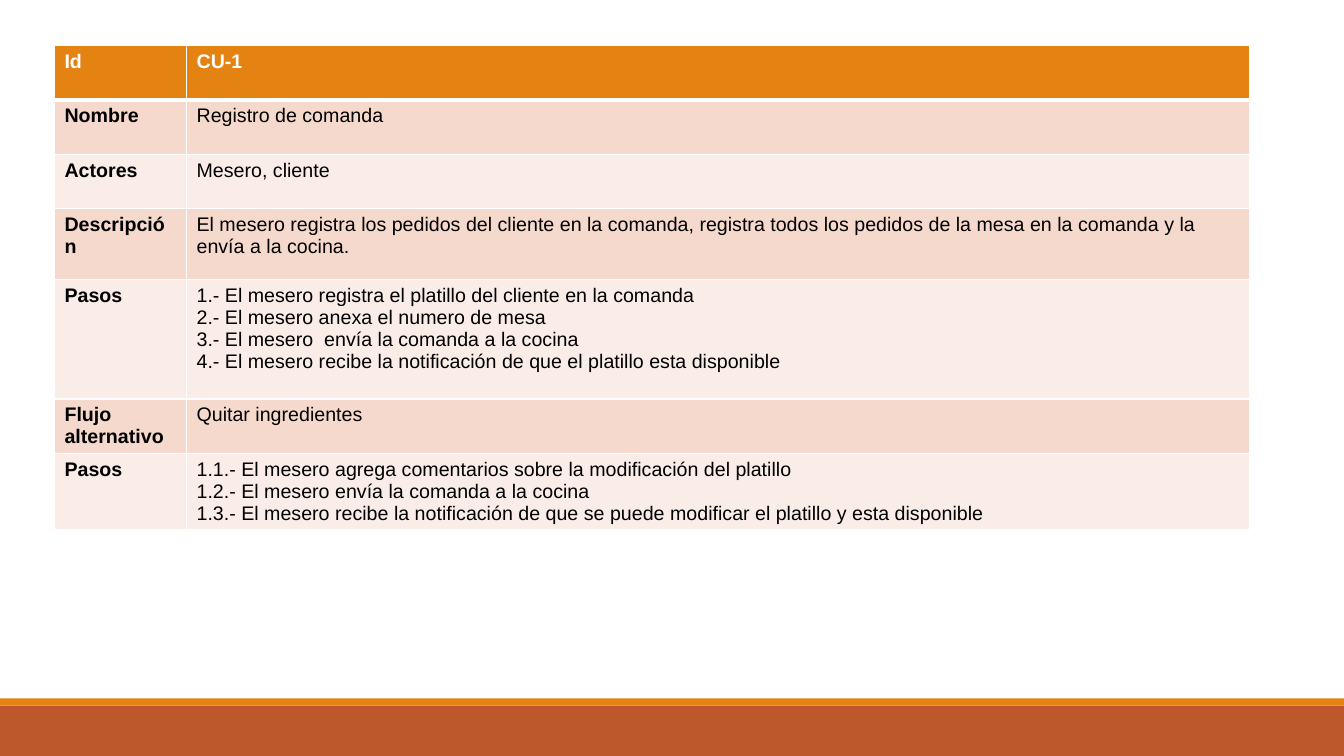
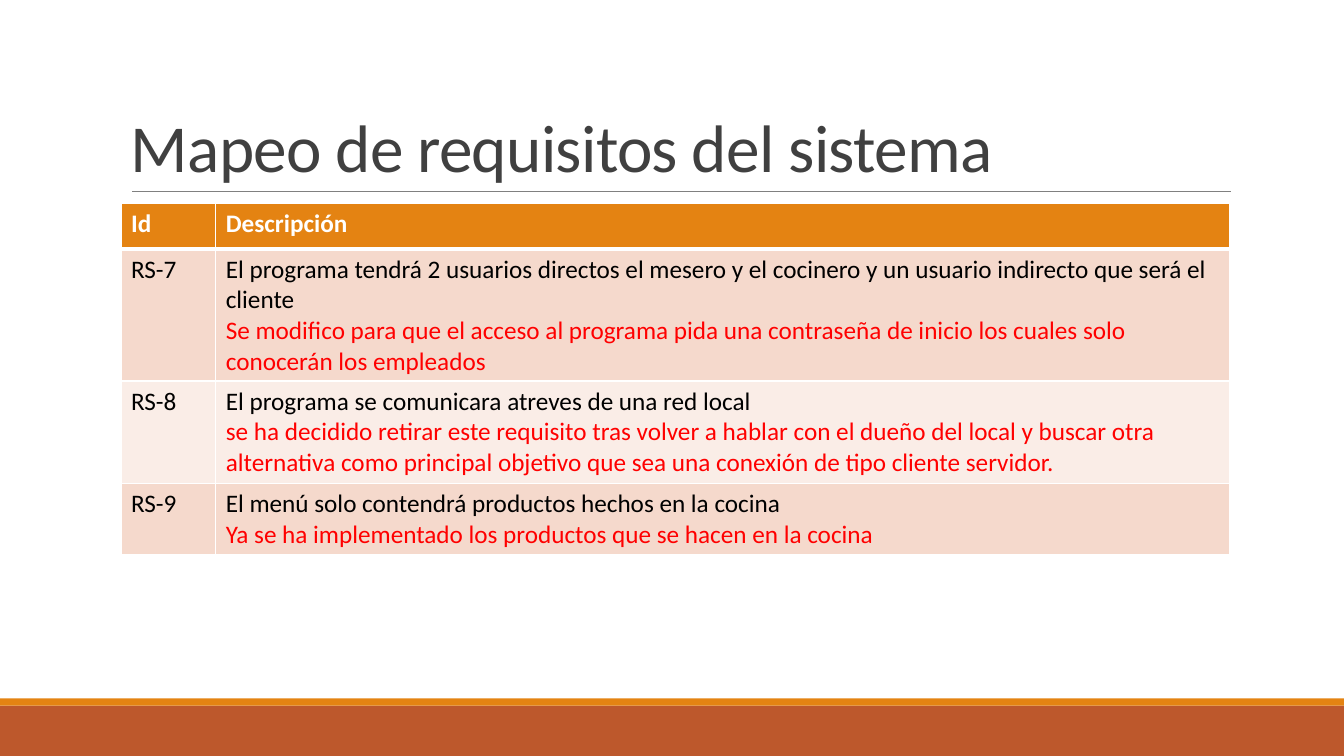
from itertools import cycle

from lxml import etree
from pptx import Presentation
from pptx import util as u
from pptx.dml import color
from pptx.enum import shapes, text
from pptx.oxml import ns

ORANGE, RUST, WHITE, BLACK, RED = "E48312", "BD582C", "FFFFFF", "000000", "FF0000"
GREY, RULE = "404040", "808080"
BANDS = ("FAEDE7", "F5D9CC")
WIDTH, HEIGHT = 13.33, 7.5

USE_CASE = [
    ("Id", ["CU-1"]),
    ("Nombre", ["Registro de comanda"]),
    ("Actores", ["Mesero, cliente"]),
    ("Descripción", [
        "El mesero registra los pedidos del cliente en la comanda, registra todos "
        "los pedidos de la mesa en la comanda y la envía a la cocina."]),
    ("Pasos", [
        "1.- El mesero registra el platillo del cliente en la comanda",
        "2.- El mesero anexa el numero de mesa",
        "3.- El mesero  envía la comanda a la cocina",
        "4.- El mesero recibe la notificación de que el platillo esta disponible"]),
    ("Flujo alternativo", ["Quitar ingredientes"]),
    ("Pasos", [
        "1.1.- El mesero agrega comentarios sobre la modificación del platillo",
        "1.2.- El mesero envía la comanda a la cocina",
        "1.3.- El mesero recibe la notificación de que se puede modificar el "
        "platillo y esta disponible"]),
]

REQUIREMENTS = [
    ("Id", ["Descripción"]),
    ("RS-7", [
        "El programa tendrá 2 usuarios directos el mesero y el cocinero y un "
        "usuario indirecto que será el cliente",
        "Se modifico para que el acceso al programa pida una contraseña de inicio "
        "los cuales solo conocerán los empleados"]),
    ("RS-8", [
        "El programa se comunicara atreves de una red local",
        "se ha decidido retirar este requisito tras volver a hablar con el dueño "
        "del local y buscar otra alternativa como principal objetivo que sea una "
        "conexión de tipo cliente servidor."]),
    ("RS-9", [
        "El menú solo contendrá productos hechos en la cocina",
        "Ya se ha implementado los productos que se hacen en la cocina"]),
]


def rgb(value):
    return color.RGBColor.from_string(value)


def add_run(p, words, font, size, colour, bold=False):
    r = p.add_run()
    r.text = words
    r.font.name = font
    r.font.size = u.Pt(size)
    r.font.bold = bold
    r.font.color.rgb = rgb(colour)
    return r


def add_band(s, top, height, colour):
    sp = s.shapes.add_shape(shapes.MSO_SHAPE.RECTANGLE, 0, u.Inches(top),
                            u.Inches(WIDTH), u.Inches(height))
    sp.shadow.inherit = False
    sp.fill.solid()
    sp.fill.fore_color.rgb = rgb(colour)
    sp.line.fill.background()


def add_slide(prs):
    s = prs.slides.add_slide(prs.slide_layouts[6])
    add_band(s, 7, 0.5, RUST)
    add_band(s, 6.93, 0.07, ORANGE)
    return s


def add_title(s, words):
    line = s.shapes.add_connector(shapes.MSO_CONNECTOR.STRAIGHT, u.Inches(1.31),
                                  u.Inches(1.9), u.Inches(12.21), u.Inches(1.9))
    line.line.color.rgb = rgb(RULE)
    line.line.width = u.Pt(0.5)
    etree.SubElement(line._element.spPr, ns.qn("a:effectLst"))
    sp = s.shapes.add_textbox(u.Inches(1.2), u.Inches(1.06), u.Inches(11), u.Inches(0.84))
    tf = sp.text_frame
    tf.word_wrap = True
    tf.vertical_anchor = text.MSO_ANCHOR.BOTTOM
    p = tf.paragraphs[0]
    p.line_spacing = 0.85
    r = add_run(p, words, "Calibri", 48, GREY)
    r.font._element.set("spc", "-50")


def set_borders(cell, top, bottom):
    props = cell._tc.get_or_add_tcPr()
    sides = (("lnL", 1), ("lnR", 1), ("lnT", top), ("lnB", bottom))
    for i, (side, width) in enumerate(sides):
        ln = etree.Element(ns.qn(f"a:{side}"), w=str(u.Pt(width)))
        fill = etree.SubElement(ln, ns.qn("a:solidFill"))
        etree.SubElement(fill, ns.qn("a:srgbClr"), val=WHITE)
        props.insert(i, ln)


def fill_cell(cell, paragraphs, fill, font, size, colours, bold):
    cell.fill.solid()
    cell.fill.fore_color.rgb = rgb(fill)
    tf = cell.text_frame
    for i, (words, colour) in enumerate(zip(paragraphs, cycle(colours))):
        p = tf.add_paragraph() if i else tf.paragraphs[0]
        add_run(p, words, font, size, colour, bold)


def add_grid(s, left, top, cols, heights, rows, font, size, colours, bold_labels):
    table = s.shapes.add_table(len(rows), len(cols), u.Inches(left), u.Inches(top),
                               u.Inches(sum(cols)), u.Inches(sum(heights))).table
    for column, width in zip(table.columns, cols):
        column.width = u.Inches(width)
    for i, (label, paragraphs) in enumerate(rows):
        table.rows[i].height = u.Inches(heights[i])
        header = i == 0
        fill = ORANGE if header else BANDS[i % 2]
        for j, content in enumerate(([label], paragraphs)):
            cell = table.cell(i, j)
            fill_cell(cell, content, fill, font, size, [WHITE] if header else colours,
                      header or (bold_labels and j == 0))
            set_borders(cell, 3 if i == 1 else 1, 3 if header else 1)


def main():
    prs = Presentation()
    prs.slide_width, prs.slide_height = u.Inches(WIDTH), u.Inches(HEIGHT)

    s = add_slide(prs)
    add_grid(s, 0.54, 0.45, (1.31, 10.54), (0.54, 0.54, 0.54, 0.7, 1.19, 0.54, 0.75),
             USE_CASE, "Arial", 14, [BLACK], True)

    s = add_slide(prs)
    add_title(s, "Mapeo de requisitos del sistema")
    add_grid(s, 1.2, 2.02, (0.94, 10.06), (0.45, 1.31, 1.02, 0.7),
             REQUIREMENTS, "Calibri", 18, [BLACK, RED], False)

    prs.save("out.pptx")


if __name__ == "__main__":
    main()
